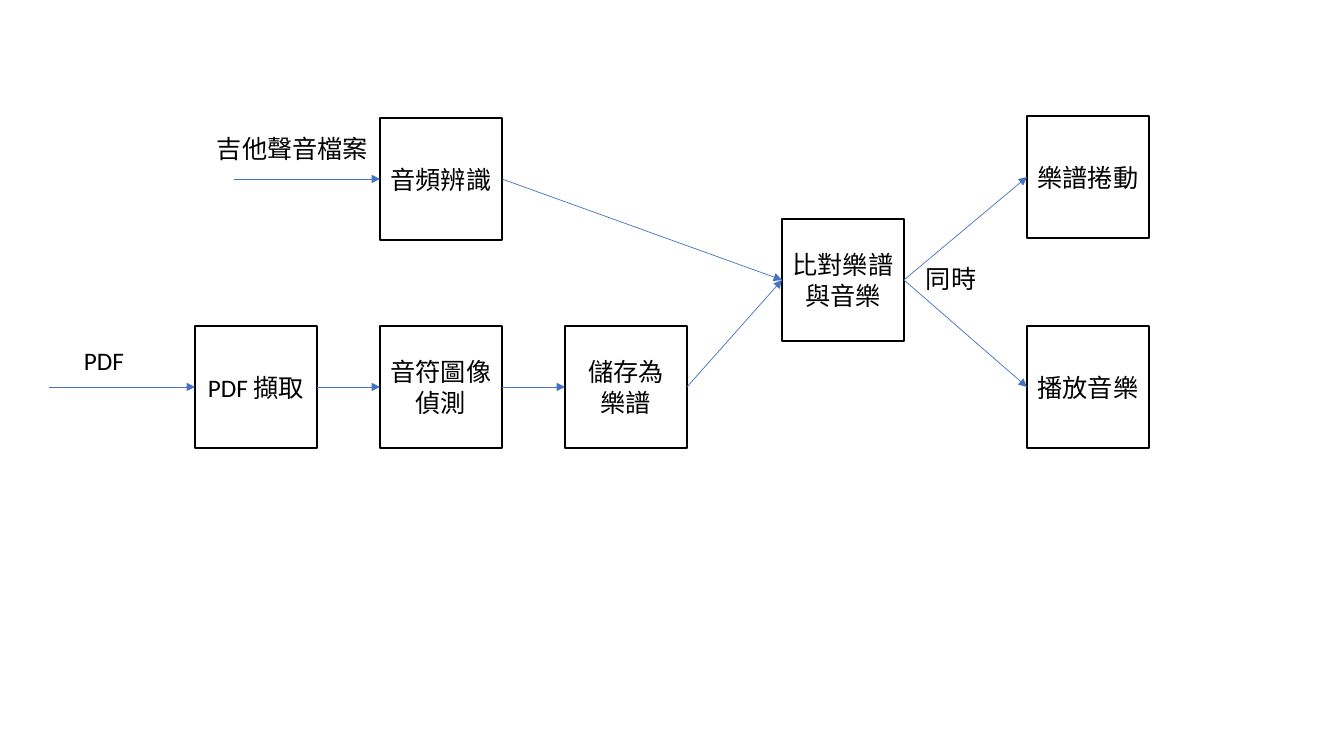
from lxml.etree import SubElement
from pptx import Presentation
from pptx.dml.color import RGBColor
from pptx.enum.lang import MSO_LANGUAGE_ID
from pptx.enum.shapes import MSO_CONNECTOR, MSO_SHAPE
from pptx.enum.text import MSO_ANCHOR, MSO_AUTO_SIZE, PP_ALIGN
from pptx.oxml.ns import qn
from pptx.util import Emu, Pt

SCALE = 914400 / 100.8
STEP = 122
LEFT_SIDE, RIGHT_SIDE = 1, 3
BLACK, WHITE, BLUE = "000000", "FFFFFF", "4472C4"
FONT = {"name": "Calibri", "size": Pt(18), "language_id": MSO_LANGUAGE_ID.TRADITIONAL_CHINESE}


def px(length):
    """Turn pixels into EMU."""
    return Emu(round(length * SCALE))


def color(hex_string):
    """Turn a hex string into a colour."""
    return RGBColor.from_string(hex_string)


def write(frame, wording, align):
    """Write one paragraph per line of wording."""
    frame.text = wording
    for paragraph in frame.paragraphs:
        paragraph.alignment = align
        font = paragraph.runs[0].font
        for key, setting in FONT.items():
            setattr(font, key, setting)
        font.color.rgb = color(BLACK)


def add_step(slide, left, top, wording):
    """Add one square process step."""
    step = slide.shapes.add_shape(MSO_SHAPE.RECTANGLE, *map(px, (left, top, STEP, STEP)))
    step.shadow.inherit = False
    step.fill.solid()
    step.fill.fore_color.rgb = color(WHITE)
    step.line.color.rgb = color(BLACK)
    step.line.width = Pt(1)
    step.text_frame.word_wrap = True
    step.text_frame.vertical_anchor = MSO_ANCHOR.MIDDLE
    write(step.text_frame, wording, PP_ALIGN.CENTER)
    return step


def add_label(slide, left, top, width, wording, wrap=False):
    """Add a caption beside an arrow."""
    label = slide.shapes.add_textbox(*map(px, (left, top, width, 40)))
    label.text_frame.word_wrap = wrap
    label.text_frame.auto_size = MSO_AUTO_SIZE.SHAPE_TO_FIT_TEXT
    write(label.text_frame, wording, PP_ALIGN.LEFT)


def add_arrow(slide, target, source=None, length=146):
    """Lead an arrow to target, from source or from open space on its left."""
    end_x, end_y = target.left, target.top + target.height // 2
    arrow = slide.shapes.add_connector(
        MSO_CONNECTOR.STRAIGHT, end_x - px(length), end_y, end_x, end_y)
    if source is not None:
        arrow.begin_connect(source, RIGHT_SIDE)
    arrow.end_connect(target, LEFT_SIDE)
    arrow.line.color.rgb = color(BLUE)
    arrow.line.width = Pt(0.5)
    SubElement(arrow.line._get_or_add_ln(), qn("a:tailEnd"), type="triangle")
    SubElement(arrow._element.spPr, qn("a:effectLst"))


def add_score_row(slide, left, top):
    """Add the PDF-to-score chain and return its last step."""
    pitch = 185
    chain = [add_step(slide, left + 146 + i * pitch, top, wording)
             for i, wording in enumerate(("PDF 擷取", "音符圖像偵測", "儲存為\n樂譜"))]
    add_arrow(slide, chain[0])
    for source, target in zip(chain, chain[1:]):
        add_arrow(slide, target, source)
    add_label(slide, left + 25, top + 14, 60, "PDF")
    return chain[-1]


def add_audio_row(slide, left, top):
    """Add the guitar audio input and return its recognition step."""
    recognition = add_step(slide, left + 173, top, "音頻辨識")
    add_arrow(slide, recognition)
    add_label(slide, left, top + 10, 173, "吉他聲音檔案")
    return recognition


def add_comparison(slide, left, top, sources):
    """Add the comparison step, its sources' arrows and its two results."""
    comparison = add_step(slide, left, top, "比對樂譜與音樂")
    for source in sources:
        add_arrow(slide, comparison, source)
    for offset, wording in ((-103, "樂譜捲動"), (107, "播放音樂")):
        result = add_step(slide, left + 245, top + offset, wording)
        add_arrow(slide, result, comparison)
    add_label(slide, left + 134, top + 39, 102, "同時", wrap=True)


def main():
    """Build the slide and save it."""
    deck = Presentation()
    deck.slide_width, deck.slide_height = px(1344), px(756)
    slide = deck.slides.add_slide(deck.slide_layouts[6])
    score = add_score_row(slide, 49, 326)
    audio = add_audio_row(slide, 207, 118)
    add_comparison(slide, 782, 219, (audio, score))
    deck.save("out.pptx")


main()
